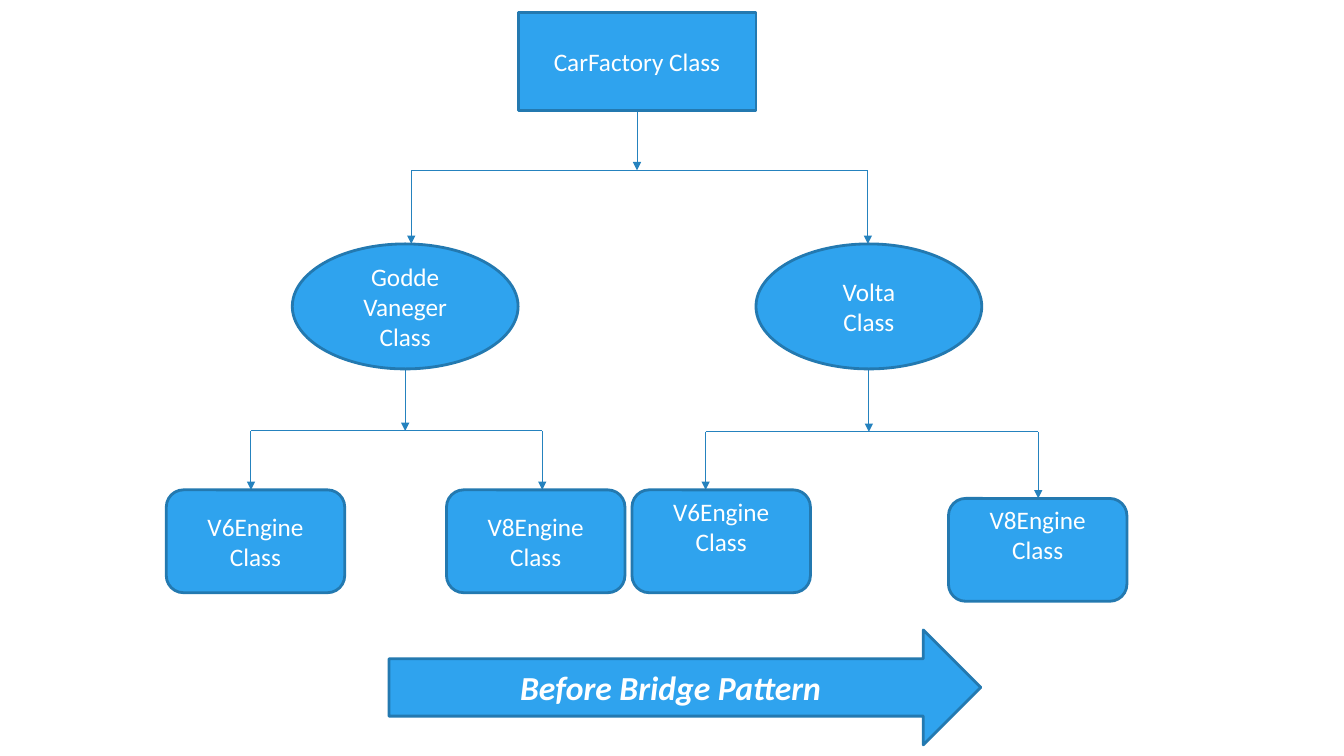
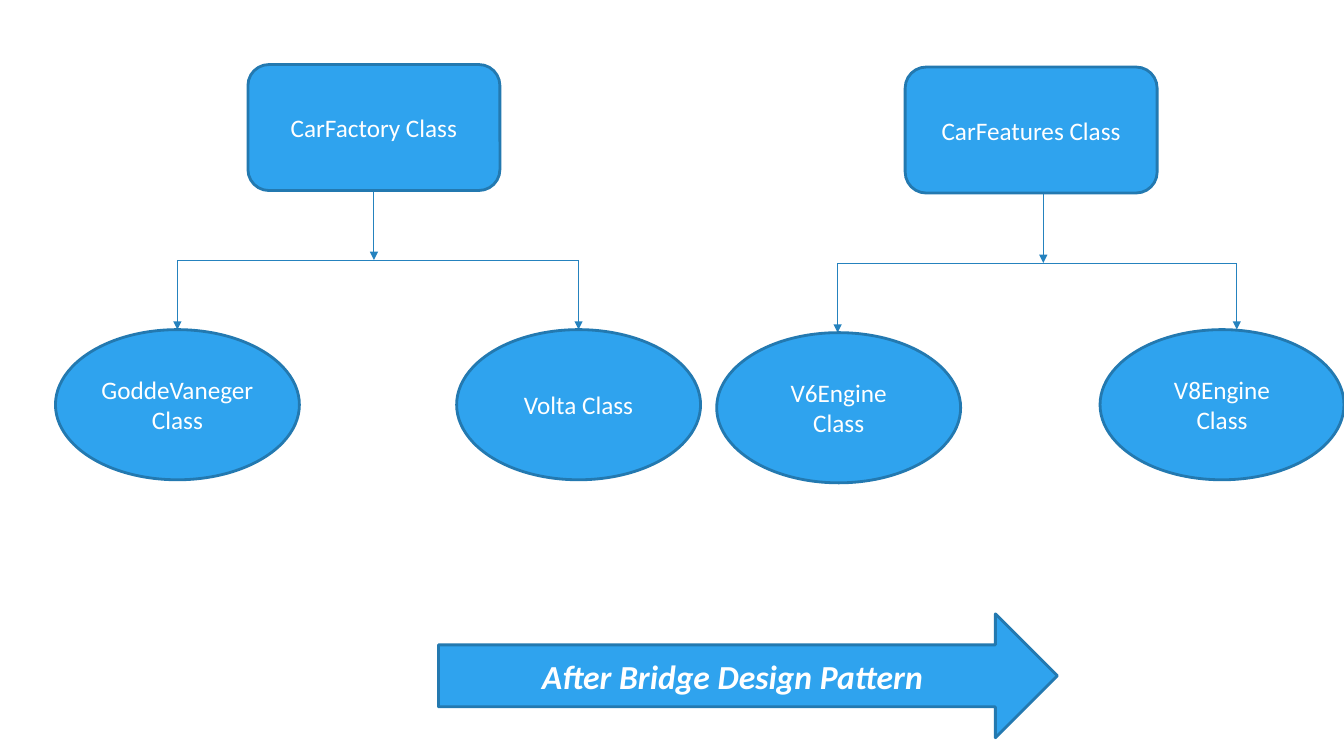
import dataclasses
import pptx
import pptx.util
import pptx.dml.color
import pptx.enum.shapes
import pptx.enum.text
import pptx.oxml

Kind = pptx.enum.shapes.MSO_SHAPE


@dataclasses.dataclass(frozen=True)
class Theme:
    fill: str = "2FA3EE"
    outline: str = "2379B0"
    branch: str = "2582BE"
    ink: str = "FFFFFF"
    font: str = "Calibri"
    label_size: float = 18
    banner_size: float = 24
    outline_width: float = 2
    branch_width: float = 0.75


@dataclasses.dataclass(frozen=True)
class Node:
    label: str
    kind: int
    left: float
    top: float
    width: float
    height: float
    raised: bool = False


THEME = Theme()
GRID_COLUMNS, GRID_ROWS = 133.33, 75
CELL = pptx.util.Inches(0.1)
RAISED_LINE = 3

CAR = dict(kind=Kind.OVAL, top=24.2, width=22.4, height=12.4)
ENGINE = dict(kind=Kind.ROUNDED_RECTANGLE, width=17.7, height=10.2)
ROOT = dict(kind=Kind.ROUNDED_RECTANGLE, width=25, height=12.5)
LEAF = dict(kind=Kind.OVAL, width=24.2, height=14.9)

factory = Node("CarFactory Class", Kind.RECTANGLE, 51.4, 1.2, 23.6, 9.8)
godde = Node("Godde Vaneger Class", left=29, **CAR)
volta = Node("Volta\nClass", left=75, **CAR)
before_trees = [
    dict(parent=factory, trunk=63.2, bus=16.9,
         children=[(godde, 40.8), (volta, 86.1)]),
    dict(parent=godde, trunk=40.2, bus=42.75, children=[
        (Node("V6Engine Class", left=16.5, top=48.6, **ENGINE), 24.9),
        (Node("V8Engine Class", left=44.3, top=48.6, **ENGINE), 53.8)]),
    dict(parent=volta, trunk=86.2, bus=42.85, children=[
        (Node("V6Engine Class", left=62.7, top=48.6, raised=True, **ENGINE), 70),
        (Node("V8Engine Class", left=94.1, top=49.45, raised=True, **ENGINE), 103)]),
]
after_trees = [
    dict(parent=Node("CarFactory Class", left=24.6, top=6.4, **ROOT),
         trunk=37.1, bus=25.8, children=[
        (Node("GoddeVaneger Class", left=5.5, top=32.7, **LEAF), 17.6),
        (Node("Volta Class", left=45.3, top=32.7, **LEAF), 57.4)]),
    dict(parent=Node("CarFeatures Class", left=89.8, top=6.65, **ROOT),
         trunk=103.5, bus=26.1, children=[
        (Node("V6Engine Class", left=71.1, top=33, **LEAF), 83.1),
        (Node("V8Engine Class", left=109.13, top=32.7, **LEAF), 122.7)]),
]
SLIDES = [
    (before_trees, Node("Before Bridge Pattern", Kind.RIGHT_ARROW, 38.6, 62.5, 58.7, 11.4)),
    (after_trees, Node("After Bridge Design Pattern", Kind.RIGHT_ARROW, 43.5, 60.9, 61.4, 12.3)),
]


def cells(*counts):
    return [round(count * CELL) for count in counts]


def colour(code):
    return pptx.dml.color.RGBColor.from_string(code)


def write(shape, text, size=THEME.label_size, emphasis=False, raised=False):
    frame = shape.text_frame
    frame.word_wrap = True
    frame.vertical_anchor = pptx.enum.text.MSO_ANCHOR.MIDDLE
    frame.margin_left = frame.margin_right = CELL
    frame.margin_top = round(CELL / 2)
    frame.margin_bottom = round(CELL * (0.5 + RAISED_LINE * raised))
    frame.text = text
    for paragraph in frame.paragraphs:
        paragraph.alignment = pptx.enum.text.PP_ALIGN.CENTER
        for run in paragraph.runs:
            run.font.name = THEME.font
            run.font.size = pptx.util.Pt(size)
            run.font.color.rgb = colour(THEME.ink)
            run.font.bold = run.font.italic = emphasis


def draw_node(slide, node, **text_format):
    shape = slide.shapes.add_shape(
        node.kind, *cells(node.left, node.top, node.width, node.height))
    shape.shadow.inherit = False
    shape.fill.solid()
    shape.fill.fore_color.rgb = colour(THEME.fill)
    shape.line.color.rgb = colour(THEME.outline)
    shape.line.width = pptx.util.Pt(THEME.outline_width)
    write(shape, node.label, raised=node.raised, **text_format)


def draw_branch(slide, start, end, arrow=True):
    branch = slide.shapes.add_connector(
        pptx.enum.shapes.MSO_CONNECTOR.STRAIGHT, *cells(*start, *end))
    branch.line.color.rgb = colour(THEME.branch)
    branch.line.width = pptx.util.Pt(THEME.branch_width)
    namespace = pptx.oxml.ns.nsdecls("a")
    if arrow:
        branch.line._get_or_add_ln().append(
            pptx.oxml.parse_xml(f'<a:tailEnd {namespace} type="triangle"/>'))
    branch._element.spPr.append(pptx.oxml.parse_xml(f"<a:effectLst {namespace}/>"))


def draw_tree(slide, parent, trunk, bus, children):
    draw_branch(slide, (trunk, parent.top + parent.height), (trunk, bus))
    drops = [drop for _, drop in children]
    draw_branch(slide, (min(drops), bus), (max(drops), bus), arrow=False)
    for child, drop in children:
        draw_branch(slide, (drop, bus), (drop, child.top))


presentation = pptx.Presentation()
presentation.slide_width, presentation.slide_height = cells(GRID_COLUMNS, GRID_ROWS)
blank_layout = presentation.slide_layouts.get_by_name("Blank")

for trees, banner in SLIDES:
    slide = presentation.slides.add_slide(blank_layout)
    nodes = []
    for tree in trees:
        draw_tree(slide, **tree)
        for node in [tree["parent"]] + [child for child, _ in tree["children"]]:
            if node not in nodes:
                nodes.append(node)
    for node in nodes:
        draw_node(slide, node)
    draw_node(slide, banner, size=THEME.banner_size, emphasis=True)

presentation.save("out.pptx")
